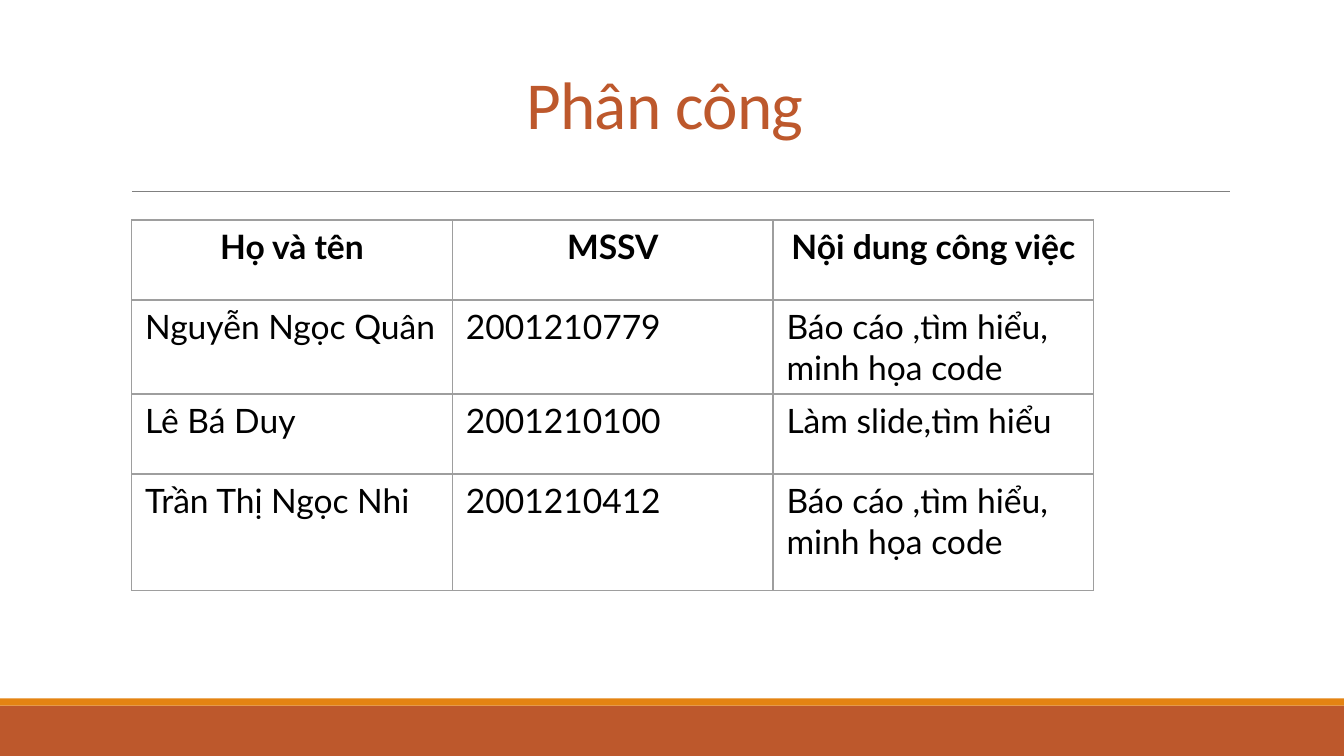
import pptx
import pptx.util
import pptx.dml.color
import pptx.enum.shapes
import pptx.enum.text
import pptx.oxml
import pptx.oxml.ns
from pptx.util import Cm

RUST = pptx.dml.color.RGBColor(0xBD, 0x58, 0x2C)
ORANGE = pptx.dml.color.RGBColor(0xE4, 0x83, 0x12)
RULE_GRAY = pptx.dml.color.RGBColor(0x80, 0x80, 0x80)
BORDER_GRAY = pptx.dml.color.RGBColor(0x9E, 0x9E, 0x9E)
BLACK = pptx.dml.color.RGBColor(0, 0, 0)


def add_run(paragraph, text, font_name, size, color, bold=False):
    run = paragraph.add_run()
    run.text = text
    run.font.name = font_name
    run.font.size = pptx.util.Pt(size)
    run.font.color.rgb = color
    run.font.bold = bold
    return run


def outline_cell(cell):
    properties = cell._tc.get_or_add_tcPr()
    for position, side in enumerate(("lnL", "lnR", "lnT", "lnB")):
        border = pptx.oxml.parse_xml(
            f'<a:{side} {pptx.oxml.ns.nsdecls("a")} w="{pptx.util.Pt(0.75)}">'
            f'<a:solidFill><a:srgbClr val="{BORDER_GRAY}"/></a:solidFill></a:{side}>')
        properties.insert(position, border)


deck = pptx.Presentation()
deck.slide_width = Cm(25.4)
deck.slide_height = Cm(14.29)
slide = deck.slides.add_slide(deck.slide_layouts[6])

# Footer bands
for top, height, color in ((13.34, 0.95, RUST), (13.2, 0.14, ORANGE)):
    band = slide.shapes.add_shape(
        pptx.enum.shapes.MSO_SHAPE.RECTANGLE, 0, Cm(top), deck.slide_width, Cm(height))
    band.shadow.inherit = False
    band.fill.solid()
    band.fill.fore_color.rgb = color
    band.line.fill.background()

# Rule under the title
rule = slide.shapes.add_connector(
    pptx.enum.shapes.MSO_CONNECTOR.STRAIGHT, Cm(2.49), Cm(3.62), Cm(23.24), Cm(3.62))
rule.line.color.rgb = RULE_GRAY
rule.line.width = pptx.util.Pt(0.5)
rule._element.spPr.append(pptx.oxml.parse_xml(
    f'<a:effectLst {pptx.oxml.ns.nsdecls("a")}/>'))

# Title
title = slide.shapes.add_textbox(Cm(1.98), Cm(1.45), Cm(21.44), Cm(1.5)).text_frame
title.word_wrap = True
title.vertical_anchor = pptx.enum.text.MSO_ANCHOR.BOTTOM
title.margin_left = title.margin_right = Cm(0.25)
title.margin_top = title.margin_bottom = Cm(0.25)
heading = title.paragraphs[0]
heading.alignment = pptx.enum.text.PP_ALIGN.CENTER
heading.line_spacing = 0.85
heading_run = add_run(heading, "Phân công ", "Calibri", 36, RUST)
heading_run.font._element.set("spc", "-40")

# Assignment table
assignments = [
    ("Họ và tên", "MSSV", "Nội dung công việc"),
    ("Nguyễn Ngọc Quân", "2001210779", "Báo cáo ,tìm hiểu, minh họa code"),
    ("Lê Bá Duy", "2001210100", "Làm slide,tìm hiểu"),
    ("Trần Thị Ngọc Nhi", "2001210412", "Báo cáo ,tìm hiểu, minh họa code"),
]
row_heights = (1.51, 1.58, 1.51, 2.21)
table = slide.shapes.add_table(
    len(assignments), 3, Cm(2.49), Cm(4.16), Cm(18.18), Cm(sum(row_heights))).table
table.first_row = False
table.horz_banding = False
for column in table.columns:
    column.width = Cm(6.06)

for row_index, (entries, height) in enumerate(zip(assignments, row_heights)):
    table.rows[row_index].height = Cm(height)
    is_header = row_index == 0
    for column_index, entry in enumerate(entries):
        cell = table.cell(row_index, column_index)
        cell.fill.background()
        outline_cell(cell)
        paragraph = cell.text_frame.paragraphs[0]
        if is_header:
            paragraph.alignment = pptx.enum.text.PP_ALIGN.CENTER
        add_run(paragraph, entry, "Lato", 18, BLACK, bold=is_header)

deck.save("out.pptx")
